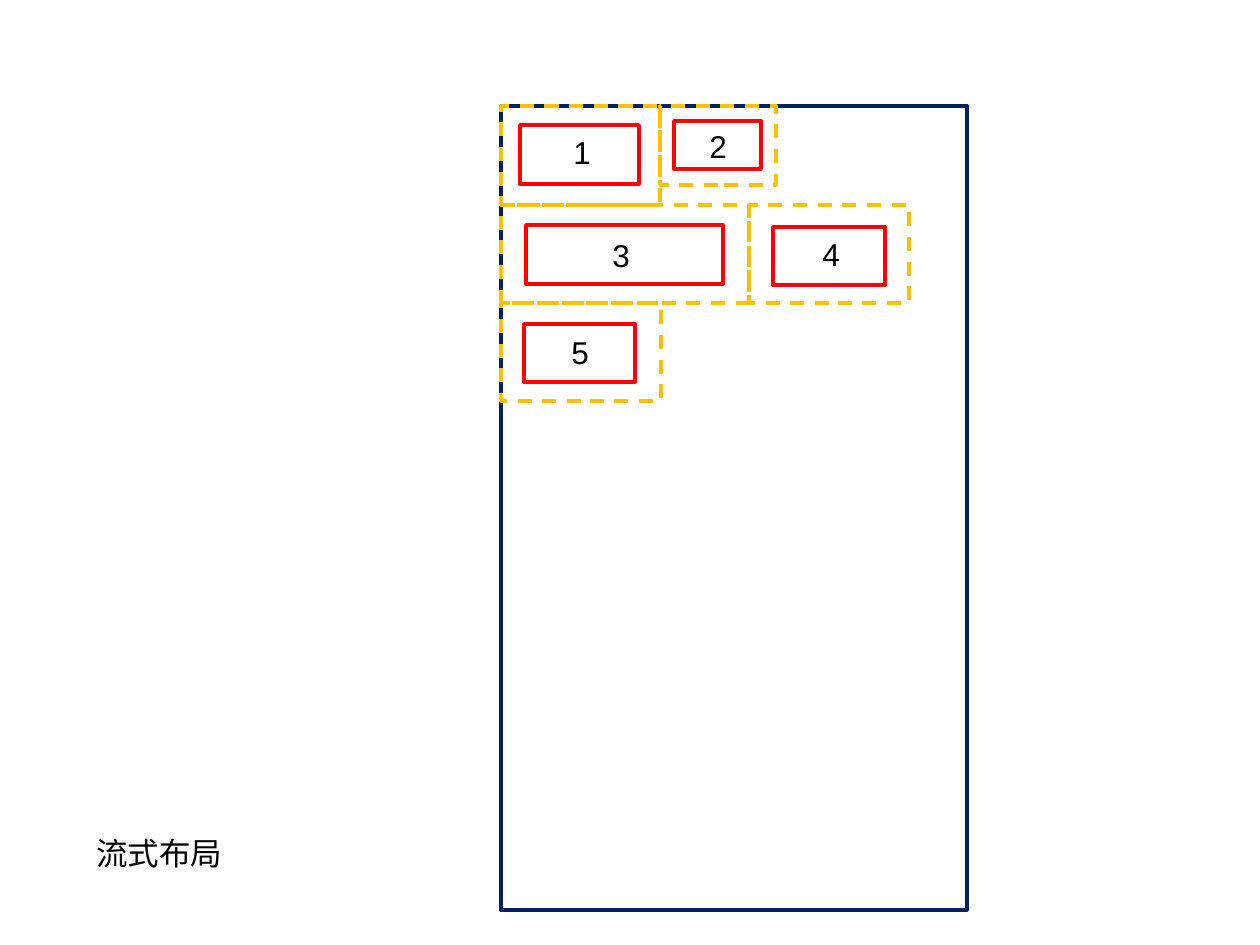
from dataclasses import dataclass

from pptx import Presentation
from pptx.dml.color import RGBColor
from pptx.enum.dml import MSO_LINE_DASH_STYLE as Dash
from pptx.enum.shapes import MSO_SHAPE as Shape
from pptx.util import Emu, Pt

PX_PER_INCH = 126


@dataclass(frozen=True)
class Theme:
    """Colours, type and line sizes of the slide."""
    container: str = "002060"
    item: str = "FF0000"
    margin: str = "FFC000"
    text: str = "000000"
    font: str = "Arial"
    text_size: int = 18
    line_width: int = 2


@dataclass(frozen=True)
class Item:
    """A flow item: its cell size, and its frame and label relative to the cell."""
    name: str
    cell: tuple
    frame: tuple
    label: tuple


THEME = Theme()
CONTAINER = (501, 106, 466, 804)
LABEL_SIZE = (40, 50)
ROWS = [
    [Item("1", (159, 99), (19, 19, 119, 59), (60, 21)),
     Item("2", (116, 79), (14, 15, 87, 48), (37, 15))],
    [Item("3", (248, 98), (25, 20, 197, 59), (99, 25)),
     Item("4", (160, 98), (24, 22, 112, 58), (61, 24))],
    [Item("5", (160, 98), (23, 21, 111, 58), (58, 24))],
]


def px(*lengths):
    """Turn px lengths into EMU."""
    return [Emu(round(length * 914400 / PX_PER_INCH)) for length in lengths]


def add_outline(page, area, colour, dash=None):
    """Add an unfilled rectangle."""
    box = page.shapes.add_shape(Shape.RECTANGLE, *px(*area))
    box.shadow.inherit = False
    box.fill.background()
    box.line.color.rgb = RGBColor.from_string(colour)
    box.line.width = Pt(THEME.line_width)
    if dash:
        box.line.dash_style = dash


def add_label(page, area, text):
    """Add a text box with one run."""
    box = page.shapes.add_textbox(*px(*area))
    box.text_frame.word_wrap = True
    span = box.text_frame.paragraphs[0].add_run()
    span.text = text
    span.font.name = THEME.font
    span.font.size = Pt(THEME.text_size)
    span.font.color.rgb = RGBColor.from_string(THEME.text)


def flow(rows, left, top):
    """Yield each item with its place, filling rows from left to right."""
    for row in rows:
        x = left
        for item in row:
            yield item, x, top
            x += item.cell[0]
        top += max(item.cell[1] for item in row)


def main():
    """Build and save the slide."""
    deck = Presentation()
    deck.slide_width, deck.slide_height = px(1260, 945)
    page = deck.slides.add_slide(deck.slide_layouts[6])
    add_label(page, (84, 828, 179, 50), "流式布局")
    add_outline(page, CONTAINER, THEME.container)
    placed = list(flow(ROWS, *CONTAINER[:2]))
    for item, x, y in placed:
        dx, dy, width, height = item.frame
        add_outline(page, (x + dx, y + dy, width, height), THEME.item)
        add_outline(page, (x, y, *item.cell), THEME.margin, Dash.DASH)
    for item, x, y in placed:
        dx, dy = item.label
        add_label(page, (x + dx, y + dy, *LABEL_SIZE), item.name)
    deck.save("out.pptx")


if __name__ == "__main__":
    main()
